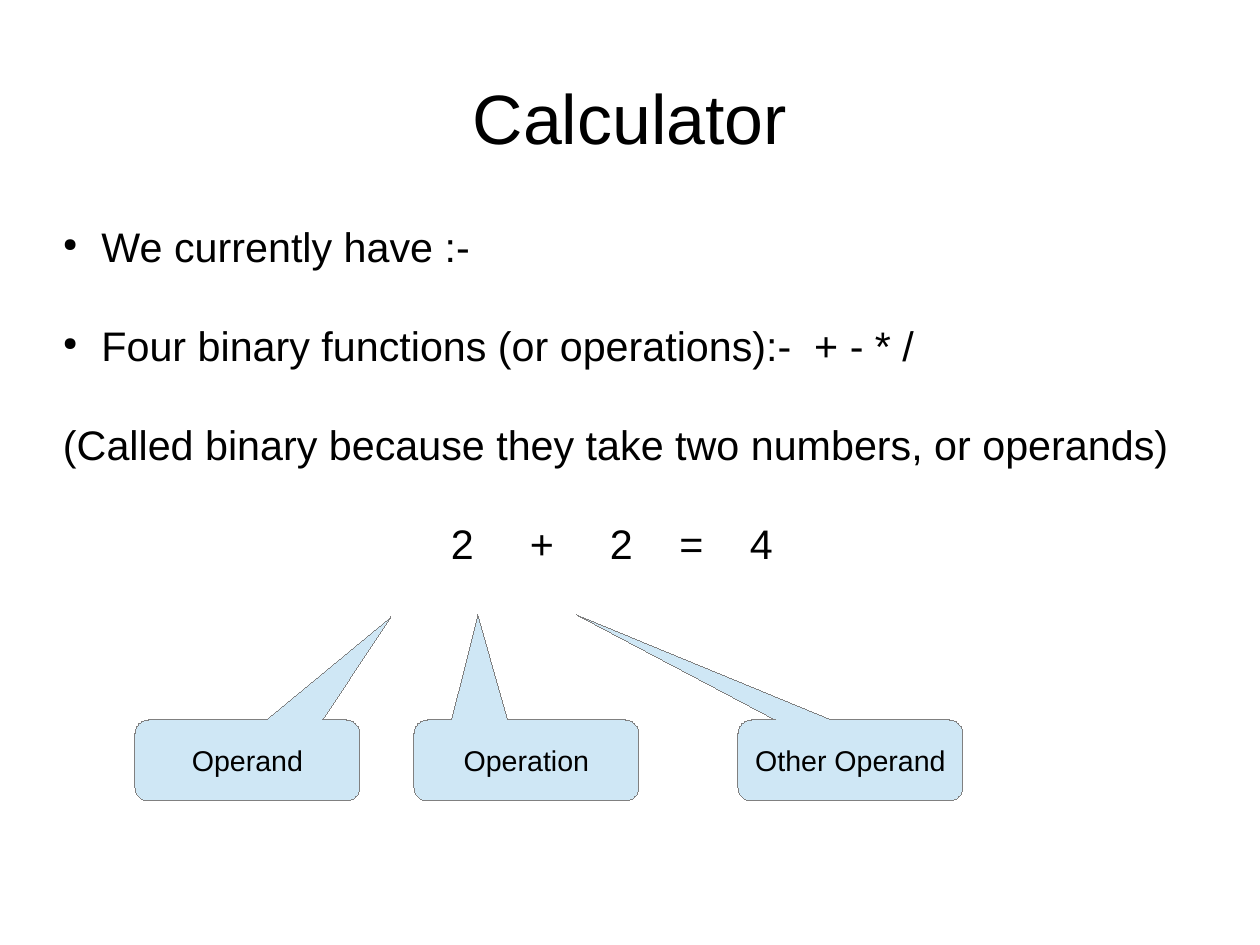
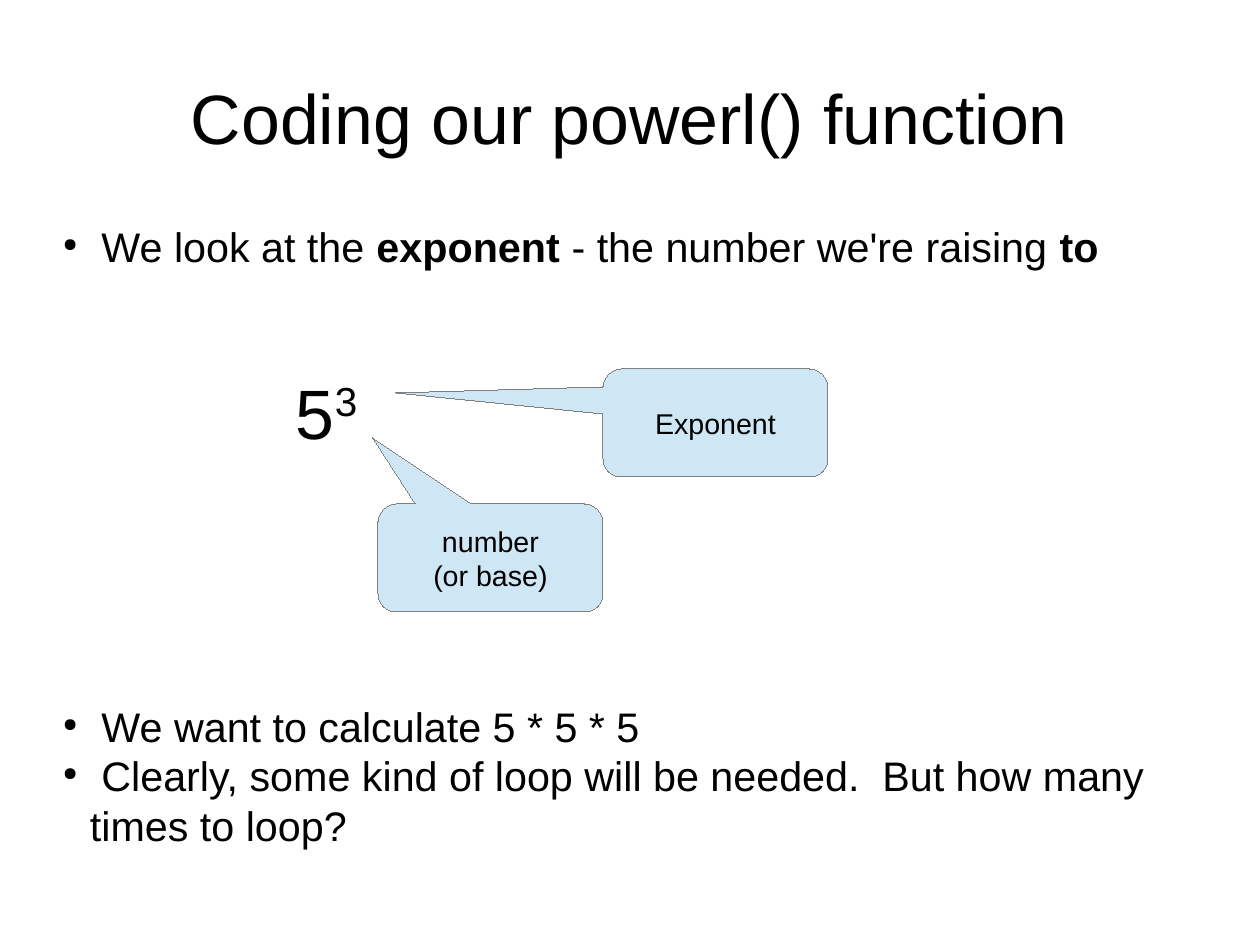
from lxml.etree import SubElement
from pptx import Presentation
from pptx.dml.color import RGBColor
from pptx.enum.shapes import MSO_SHAPE
from pptx.enum.text import MSO_ANCHOR, MSO_AUTO_SIZE, PP_ALIGN
from pptx.oxml.ns import qn
from pptx.util import Pt

PX = 8000
BLACK = RGBColor(0x00, 0x00, 0x00)
PALE_BLUE = RGBColor(0xCF, 0xE7, 0xF5)
GREY = RGBColor(0x80, 0x80, 0x80)
FONT = "Arial"
TITLE_BOX = (63, 38, 1134, 158)
BODY_BOX = (63, 221, 1109, 647)
TITLE_SIZE, BODY_SIZE, CALLOUT_SIZE = 44, 26, 18
LINE = 1.2
BULLET_INDENT = 27


def scaled(box):
    return [value * PX for value in box]


def write(para, text, size=BODY_SIZE, bold=False, baseline=0, spacing=0):
    span = para.add_run()
    span.text = text
    span.font.name = FONT
    span.font.size = Pt(size)
    span.font.bold = bold
    span.font.color.rgb = BLACK
    properties = span._r.get_or_add_rPr()
    if baseline:
        properties.set("baseline", str(baseline * 1000))
    if spacing:
        properties.set("spc", str(spacing * 100))


def set_frame(frame, margins, anchor, wrap):
    frame.auto_size = MSO_AUTO_SIZE.NONE
    frame.word_wrap = wrap
    frame.vertical_anchor = anchor
    frame.margin_left = frame.margin_right = margins[0] * PX
    frame.margin_top = frame.margin_bottom = margins[1] * PX


def add_para(frame, spans, blank_lines=0, size=BODY_SIZE, bullet=False, indent=0):
    para = frame.paragraphs[0]
    if para.runs:
        para = frame.add_paragraph()
    para.line_spacing = Pt(size * LINE)
    para.space_before = Pt(blank_lines * BODY_SIZE * LINE)
    properties = para._p.get_or_add_pPr()
    properties.set("marL", str((BULLET_INDENT if bullet else indent) * PX))
    properties.set("indent", str(-BULLET_INDENT * PX if bullet else 0))
    if bullet:
        color = SubElement(properties, qn("a:buClr"))
        SubElement(color, qn("a:srgbClr"), val=str(BLACK))
        SubElement(properties, qn("a:buSzPct"), val="45000")
        SubElement(properties, qn("a:buChar"), char="●")
    else:
        SubElement(properties, qn("a:buNone"))
    for text, style in spans:
        write(para, text, size=size, **style)


def add_callout(page, box, tip, lines):
    left, top, width, height = box
    shape = page.shapes.add_shape(MSO_SHAPE.ROUNDED_RECTANGULAR_CALLOUT, *scaled(box))
    shape.adjustments[0] = (tip[0] - left) / width - 0.5
    shape.adjustments[1] = (tip[1] - top) / height - 0.5
    shape.adjustments[2] = 0.17
    shape.shadow.inherit = False
    shape.fill.solid()
    shape.fill.fore_color.rgb = PALE_BLUE
    shape.line.color.rgb = GREY
    shape.element.spPr.find(qn("a:ln")).set("w", "0")
    frame = shape.text_frame
    set_frame(frame, (11, 6), MSO_ANCHOR.MIDDLE, False)
    for index, line in enumerate(lines):
        para = frame.add_paragraph() if index else frame.paragraphs[0]
        para.alignment = PP_ALIGN.CENTER
        write(para, line, size=CALLOUT_SIZE)


def add_page(deck, title):
    page = deck.slides.add_slide(deck.slide_layouts[5])
    holder = page.shapes.title
    holder.left, holder.top, holder.width, holder.height = scaled(TITLE_BOX)
    set_frame(holder.text_frame, (0, 0), MSO_ANCHOR.MIDDLE, True)
    para = holder.text_frame.paragraphs[0]
    para.alignment = PP_ALIGN.CENTER
    write(para, title, size=TITLE_SIZE)
    body = page.shapes.add_textbox(*scaled(BODY_BOX)).text_frame
    set_frame(body, (0, 0), MSO_ANCHOR.TOP, True)
    return page, body


def add_calculator(deck):
    page, body = add_page(deck, "Calculator")
    add_para(body, [(" We currently have :-", {})], bullet=True)
    add_para(body, [(" Four binary functions (or operations):-  + - * /", {})],
             blank_lines=1, bullet=True)
    add_para(body, [("(Called binary because they take two numbers, or operands)", {})],
             blank_lines=1)
    wide, narrow = (" ", {"spacing": 28}), (" ", {"spacing": 22})
    add_para(body, [("2", {}), wide, ("+", {}), wide, ("2", {}), narrow,
                    ("=", {}), narrow, ("4", {})], blank_lines=1, indent=388)
    for left, tip, label in (
        (414, (478, 615), "Operation"),
        (135, (391, 617), "Operand"),
        (738, (577, 615), "Other Operand"),
    ):
        add_callout(page, (left, 720, 225, 81), tip, [label])


def add_power(deck):
    page, body = add_page(deck, "Coding our powerl() function")
    bold = {"bold": True}
    add_para(body, [(" We look at the ", {}), ("exponent", bold),
                    (" - the number we're raising ", {}), ("to", bold)], bullet=True)
    add_para(body, [("5", {}), ("3", {"baseline": 33})],
             blank_lines=2, size=TITLE_SIZE, indent=233)
    add_para(body, [(" We want to calculate 5 * 5 * 5", {})], blank_lines=5, bullet=True)
    add_para(body, [(" Clearly, some kind of loop will be needed.  But how many times to loop?", {})],
             bullet=True)
    add_callout(page, (603, 369, 225, 108), (396, 393), ["Exponent"])
    add_callout(page, (378, 504, 225, 108), (373, 438), ["number", "(or base)"])


def main():
    deck = Presentation()
    deck.slide_width, deck.slide_height = scaled((1260, 945))
    add_calculator(deck)
    add_power(deck)
    deck.save("out.pptx")


if __name__ == "__main__":
    main()
